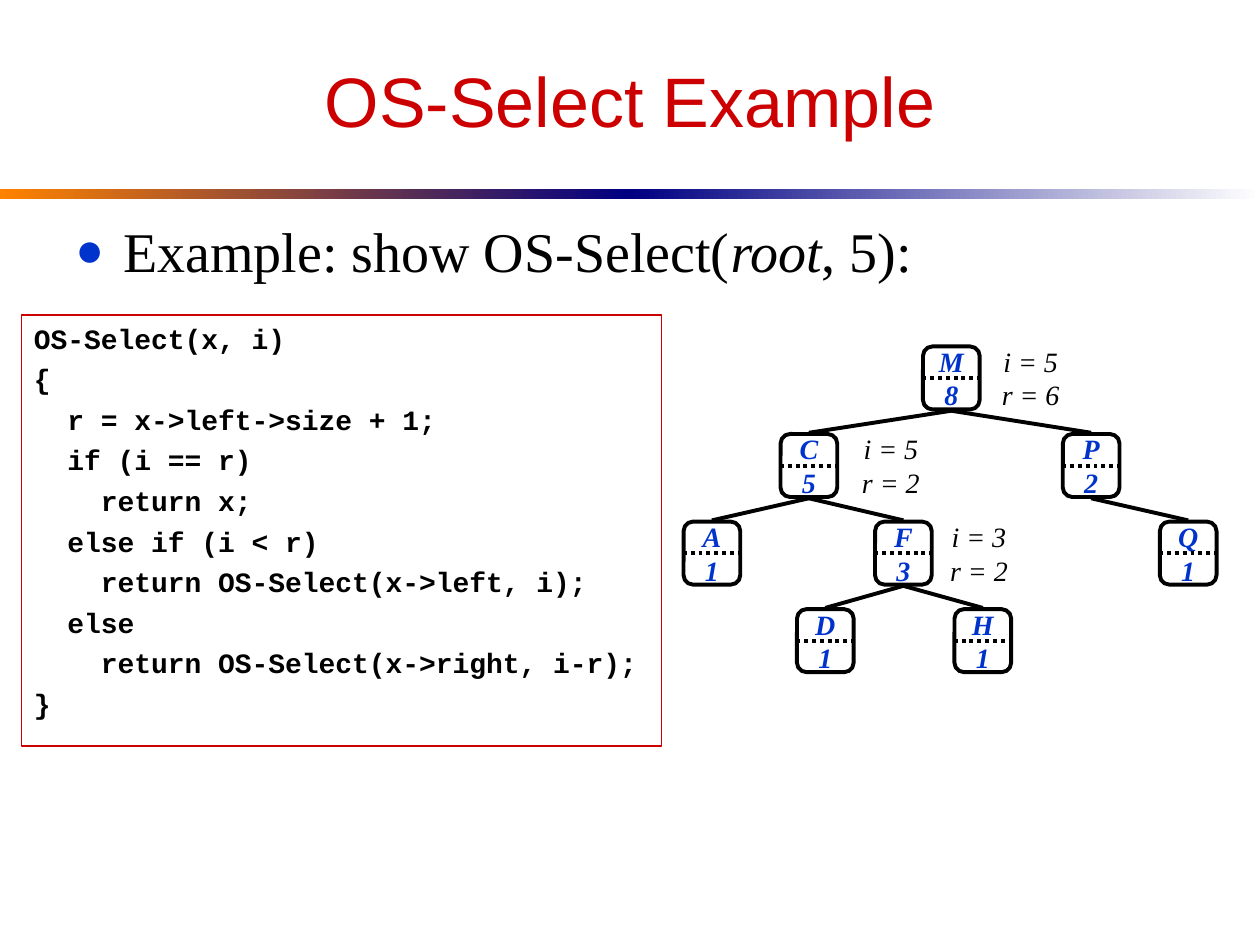
from pptx import Presentation
from pptx.dml.color import RGBColor
from pptx.enum import dml, shapes, text
from pptx.oxml import ns
from pptx.util import Inches, Pt
from lxml import etree

COLORS = {"red": "CC0000", "blue": "0033CC", "navy": "000082",
          "orange": "FF8200", "white": "FFFFFF", "black": "000000"}
SERIF = "Times New Roman"
WIDE, HIGH = 0.45, 0.5      # node size
SPAN = 0.8                  # note width
TOP, STEP = 2.75, 0.695     # first tree row and row pitch

# name: (size, centre x, row, parent)
NODES = {"M": (8, 7.55, 0, None), "C": (5, 6.42, 1, "M"),
         "P": (2, 8.66, 1, "M"), "Q": (1, 9.43, 2, "P"),
         "A": (1, 5.65, 2, "C"), "F": (3, 7.17, 2, "C"),
         "D": (1, 6.55, 3, "F"), "H": (1, 7.8, 3, "F")}
# text, centre x, row
NOTES = [("i = 5\nr = 6", 8.18, 0), ("i = 5\nr = 2", 7.07, 1),
         ("i = 3\nr = 2", 7.77, 2)]
CODE = """OS-Select(x, i)
{
  r = x->left->size + 1;
  if (i == r)
    return x;
  else if (i < r)
    return OS-Select(x->left, i);
  else
    return OS-Select(x->right, i-r);
}"""


def rgb(name):
    return RGBColor.from_string(COLORS[name])


def box(slide, kind, left, top, width, height):
    area = [Inches(v) for v in (left, top, width, height)]
    if kind is None:
        return slide.shapes.add_textbox(*area)
    shape = slide.shapes.add_shape(kind, *area)
    shape.shadow.inherit = False
    return shape


def style(para, face, size, color, bold=False, italic=False):
    for run in para.runs:
        font = run.font
        font.name, font.size = face, Pt(size)
        font.bold, font.italic = bold, italic
        font.color.rgb = rgb(color)
    # Line breaks take the height of the text around them
    for gap in para._p.findall(ns.qn("a:br")):
        etree.SubElement(gap, ns.qn("a:rPr"), sz=str(size * 100))


def indent(para):
    props = para._p.get_or_add_pPr()
    props.set("marL", str(Inches(0.38)))
    props.set("indent", str(-Inches(0.38)))
    return props


def line(slide, x1, y1, x2, y2, dash=None):
    link = slide.shapes.add_connector(
        shapes.MSO_CONNECTOR.STRAIGHT, *[Inches(v) for v in (x1, y1, x2, y2)])
    link.line.color.rgb = rgb("black")
    link.line.width = Pt(2.25)
    if dash:
        link.line.dash_style = dash
    etree.SubElement(link._element.spPr, ns.qn("a:effectLst"))


def bar(slide, left, start, end):
    shape = box(slide, shapes.MSO_SHAPE.RECTANGLE, left, 1.5, 5, 0.08)
    shape.line.fill.background()
    shape.fill.gradient()
    shape.fill.gradient_angle = 0
    for stop, name, place in zip(shape.fill.gradient_stops, (start, end), (0, 1)):
        stop.color.rgb = rgb(name)
        stop.position = place


def pair(shape, words, color, bold, wrap):
    frame = shape.text_frame
    frame.word_wrap = wrap
    frame.vertical_anchor = text.MSO_ANCHOR.MIDDLE
    para = frame.paragraphs[0]
    para.text = words
    para.alignment = text.PP_ALIGN.CENTER
    style(para, SERIF, 16, color, bold, True)


def node(slide, name, size, x, row):
    top = TOP + row * STEP
    shape = box(slide, shapes.MSO_SHAPE.ROUNDED_RECTANGLE,
                x - WIDE / 2, top, WIDE, HIGH)
    shape.fill.background()
    shape.line.color.rgb = rgb("black")
    shape.line.width = Pt(2.25)
    pair(shape, f"{name}\n{size}", "blue", True, False)
    mid = top + HIGH / 2
    line(slide, x - 0.23, mid, x + 0.23, mid, dml.MSO_LINE.ROUND_DOT)


def tree(slide):
    for name, (size, x, row, _) in NODES.items():
        node(slide, name, size, x, row)
    for _, x, row, parent in NODES.values():
        if parent:
            _, px, above, _ = NODES[parent]
            line(slide, px, TOP + above * STEP + HIGH + 0.01,
                 x, TOP + row * STEP - 0.01)
    for words, x, row in NOTES:
        note = box(slide, None, x - SPAN / 2, TOP + row * STEP, SPAN, HIGH)
        pair(note, words, "black", False, True)


def title(slide):
    frame = box(slide, None, 0.5, 0.25, 9, 1.08).text_frame
    frame.word_wrap = True
    frame.vertical_anchor = text.MSO_ANCHOR.MIDDLE
    para = frame.paragraphs[0]
    para.text = "OS-Select Example"
    para.alignment = text.PP_ALIGN.CENTER
    style(para, "Arial", 40, "red")


def body(slide):
    frame = box(slide, None, 0.5, 1.67, 9, 4.75).text_frame
    frame.word_wrap = True
    para = frame.paragraphs[0]
    props = indent(para)
    tint = etree.SubElement(props, ns.qn("a:buClr"))
    etree.SubElement(tint, ns.qn("a:srgbClr"), val=COLORS["blue"])
    etree.SubElement(props, ns.qn("a:buSzPct"), val="85000")
    etree.SubElement(props, ns.qn("a:buFont"), typeface=SERIF)
    etree.SubElement(props, ns.qn("a:buChar"), char="●")
    for part in ("Example: show OS-Select(", "root", ", 5):"):
        para.add_run().text = part
    style(para, SERIF, 32, "black")
    para.runs[1].font.italic = True


def code(slide):
    shape = box(slide, shapes.MSO_SHAPE.RECTANGLE, 0.17, 2.5, 5.08, 3.42)
    shape.fill.background()
    shape.line.color.rgb = rgb("red")
    shape.line.width = Pt(0.75)
    frame = shape.text_frame
    frame.word_wrap = True
    frame.vertical_anchor = text.MSO_ANCHOR.TOP
    frame.text = CODE
    for num, para in enumerate(frame.paragraphs):
        indent(para)
        para.alignment = text.PP_ALIGN.LEFT
        para.space_before = Pt(4 if num else 0)
        style(para, "Courier New", 16, "black", True)


def main():
    deck = Presentation()
    deck.slide_width, deck.slide_height = Inches(10), Inches(7.5)
    slide = deck.slides.add_slide(deck.slide_layouts[6])
    # Heading with its two-part rule
    bar(slide, 0, "orange", "navy")
    bar(slide, 5, "navy", "white")
    title(slide)
    # Content
    body(slide)
    tree(slide)
    code(slide)
    deck.save("out.pptx")


if __name__ == "__main__":
    main()
